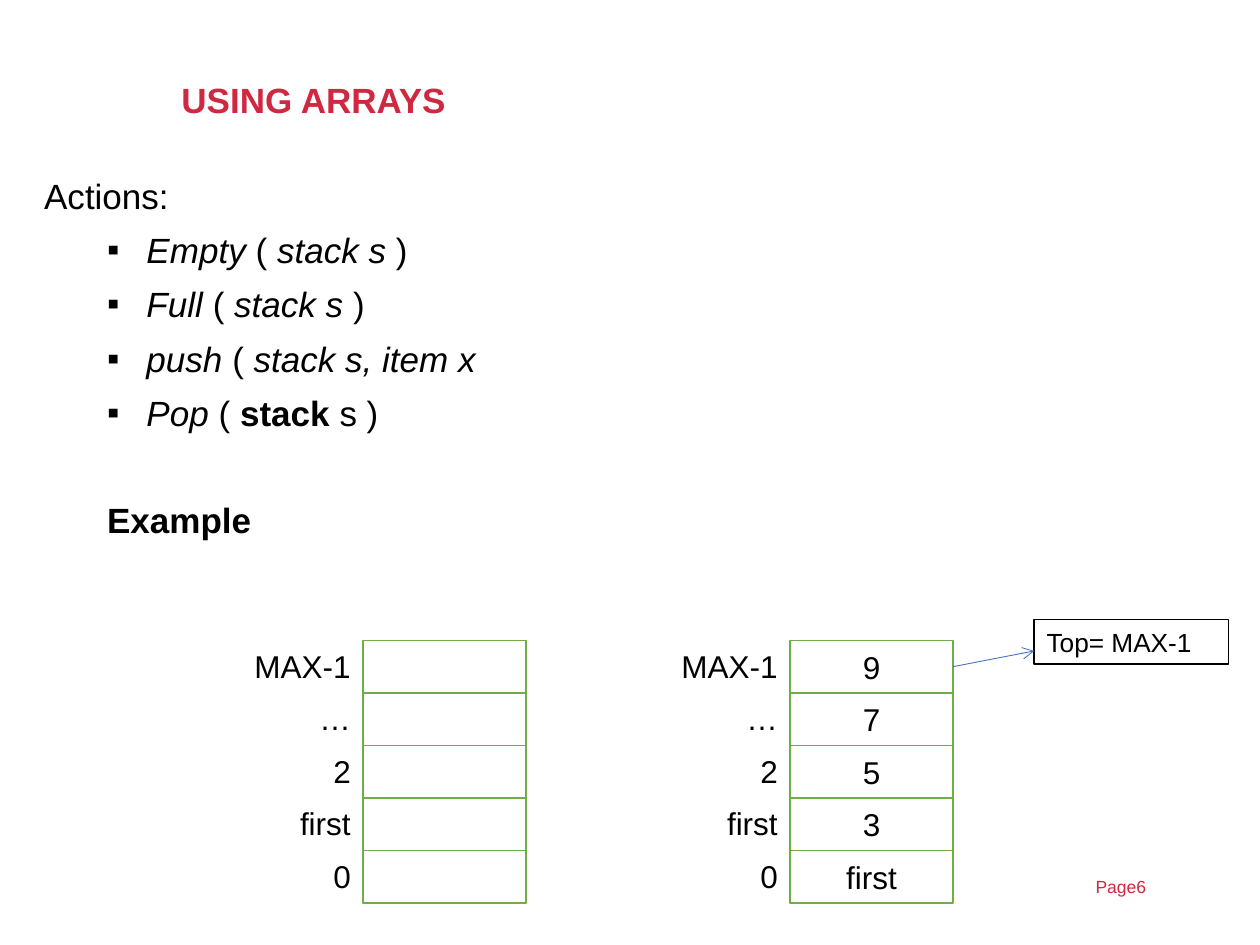
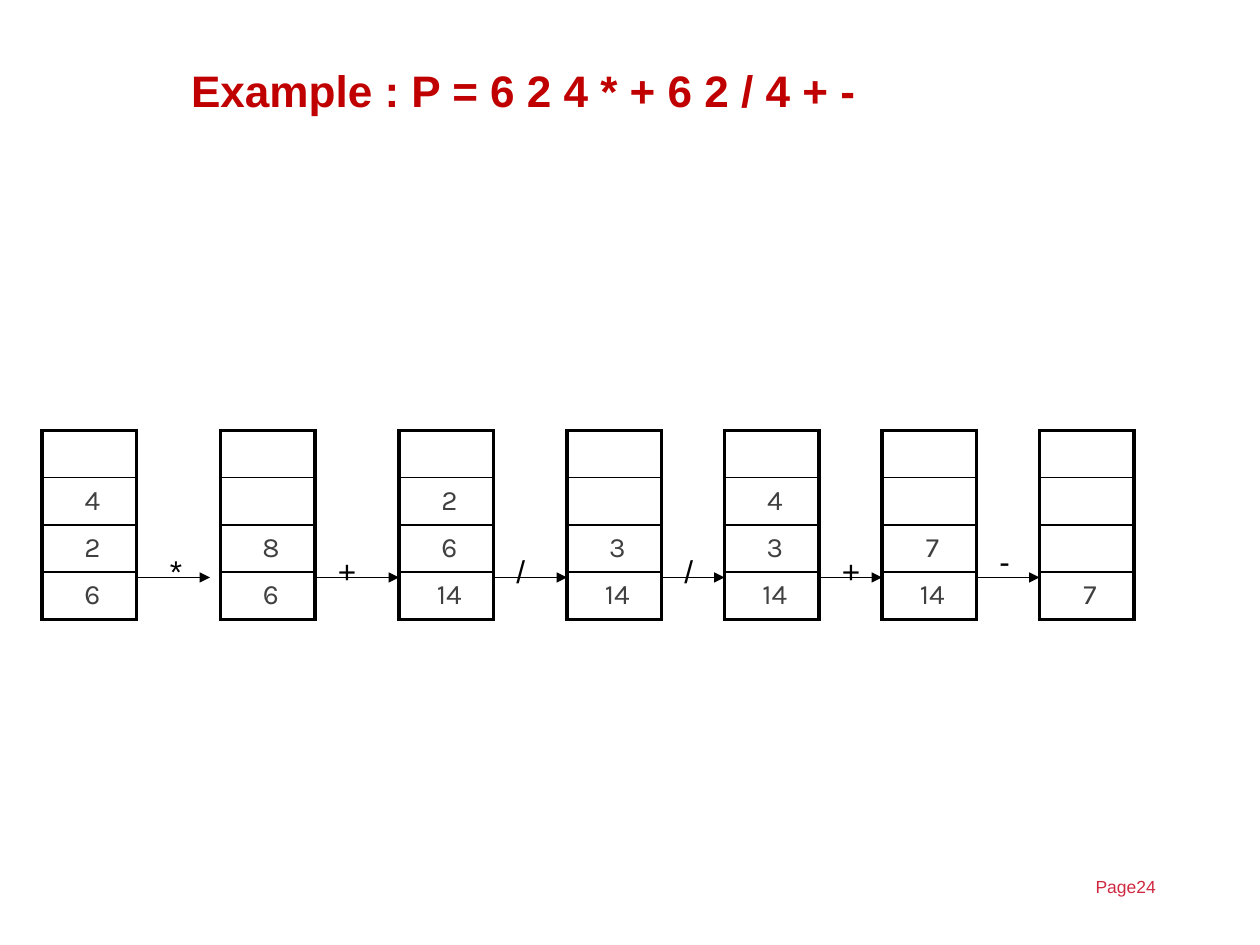
from lxml.etree import SubElement
from pptx import Presentation
from pptx.dml.color import RGBColor
from pptx.enum.shapes import MSO_CONNECTOR, MSO_SHAPE
from pptx.enum.text import MSO_ANCHOR, MSO_AUTO_SIZE, PP_ALIGN
from pptx.oxml.ns import qn
from pptx.util import Pt

COLORS = {
    "crimson": "CF2941",
    "dark red": "C00000",
    "black": "000000",
    "white": "FFFFFF",
    "gray": "404040",
    "green": "70AD47",
    "blue": "4472C4",
}


def write(paragraph, text, size=18, color="black", font="Arial", bold=False,
          align=PP_ALIGN.LEFT, before=0, spacing=1.0):
    """Fill a paragraph; text is a string or a list of (text, "i", "b" or "") runs."""
    paragraph.alignment = align
    paragraph.space_before = Pt(before)
    paragraph.line_spacing = spacing
    for part, style in [(text, "")] if isinstance(text, str) else text:
        run = paragraph.add_run()
        run.text = part
        run.font.size = Pt(size)
        run.font.name = font
        run.font.bold = bold or style == "b"
        run.font.italic = style == "i"
        run.font.color.rgb = RGBColor.from_string(COLORS[color])


def add_arrow(slide, start, end, color, width, head):
    arrow = slide.shapes.add_connector(
        MSO_CONNECTOR.STRAIGHT, *[Pt(value) for value in (*start, *end)])
    arrow.line.color.rgb = RGBColor.from_string(COLORS[color])
    arrow.line.width = Pt(width)
    SubElement(arrow.line._get_or_add_ln(), qn("a:tailEnd"), type=head)
    SubElement(arrow._element.spPr, qn("a:effectLst"))
    return arrow


prs = Presentation()
prs.slide_width, prs.slide_height = Pt(720), Pt(540)
arrays = prs.slides.add_slide(prs.slide_layouts[1])
postfix = prs.slides.add_slide(prs.slide_layouts[5])

# Titles and page numbers
for slide, heading, left, top, size, color, anchor, page in [
    (arrays, "USING ARRAYS", 96.5, 29, 20, "crimson", MSO_ANCHOR.MIDDLE, "Page6"),
    (postfix, "Example : P = 6 2 4 * + 6 2 / 4 + -", 102, 36, 25.2, "dark red",
     MSO_ANCHOR.TOP, "Page24"),
]:
    title = slide.shapes.title
    title.left, title.top, title.width, title.height = Pt(left), Pt(top), Pt(574.5), Pt(59)
    title.text_frame.auto_size = MSO_AUTO_SIZE.NONE
    title.text_frame.vertical_anchor = anchor
    write(title.text_frame.paragraphs[0], heading, size=size, color=color,
          bold=True, spacing=0.9)
    footer = slide.shapes.add_textbox(Pt(619), Pt(497), Pt(86.5), Pt(20))
    footer.text_frame.word_wrap = True
    write(footer.text_frame.paragraphs[0], page, size=10, color="crimson")

# Stack actions: text, level, left margin, indent, space before
actions = arrays.placeholders[1]
actions.left, actions.top, actions.width, actions.height = Pt(18), Pt(96), Pt(684), Pt(220)
actions.text_frame.auto_size = MSO_AUTO_SIZE.NONE
actions.text_frame.vertical_anchor = MSO_ANCHOR.TOP
calls = [
    [("Empty ", "i"), ("( ", ""), ("stack s ", "i"), (")", "")],
    [("Full ", "i"), ("( ", ""), ("stack s ", "i"), (")", "")],
    [("push ", "i"), ("( ", ""), ("stack s, item x", "i")],
    [("Pop ", "i"), ("( ", ""), ("stack ", "b"), ("s )", "")],
]
lines = [("Actions:", 0, 0, 0, 0)]
lines += [(call, 1, 58.5, -22.5, 7) for call in calls]
lines += [([("Example", "b")], 1, 36, 0, 37)]
for index, (text, level, margin, indent, before) in enumerate(lines):
    frame = actions.text_frame
    paragraph = frame.add_paragraph() if index else frame.paragraphs[0]
    paragraph.level = level
    write(paragraph, text, size=20, before=before)
    properties = paragraph._p.get_or_add_pPr()
    properties.set("marL", str(Pt(margin)))
    properties.set("indent", str(Pt(indent)))
    if indent:
        SubElement(properties, qn("a:buFont"), typeface="Arial")
        SubElement(properties, qn("a:buChar"), char="▪")
    else:
        SubElement(properties, qn("a:buNone"))

# Empty and full array
positions = ["MAX-1", "…", "2", "first", "0"]
cells = []
for left, items in [(207.5, [""] * 5), (451.5, ["9", "7", "5", "3", "first"])]:
    for row, (position, item) in enumerate(zip(positions, items)):
        top = 366 + 30 * row
        label = arrays.shapes.add_textbox(Pt(left - 87), Pt(top), Pt(87), Pt(29))
        label.text_frame.word_wrap = True
        write(label.text_frame.paragraphs[0], position, align=PP_ALIGN.RIGHT)
        cell = arrays.shapes.add_shape(MSO_SHAPE.RECTANGLE, Pt(left), Pt(top), Pt(93), Pt(30))
        cells.append((cell, item, "green", PP_ALIGN.CENTER, 18))
full_top = cells[5][0]
top_note = arrays.shapes.add_shape(MSO_SHAPE.RECTANGLE, Pt(591), Pt(354), Pt(111), Pt(25.5))
cells.append((top_note, "Top= MAX-1", "black", PP_ALIGN.LEFT, 15))
for box, text, outline, align, size in cells:
    box.shadow.inherit = False
    box.fill.solid()
    box.fill.fore_color.rgb = RGBColor.from_string(COLORS["white"])
    box.line.color.rgb = RGBColor.from_string(COLORS[outline])
    box.line.width = Pt(1)
    box.text_frame.vertical_anchor = MSO_ANCHOR.MIDDLE
    if text:
        write(box.text_frame.paragraphs[0], text, size=size, align=align)
top_pointer = add_arrow(arrays, (544.5, 381), (591, 372), "blue", 0.5, "arrow")
top_pointer.begin_connect(full_top, 3)

# Stack after each step of the evaluation: left, values from top to bottom
STACK_TOP, STACK_WIDTH, ROW_HEIGHT = 246, 54, 27
stacks = [
    (24, ["", "4", "2", "6"]),
    (126, ["", "", "8", "6"]),
    (228, ["", "2", "6", "14"]),
    (324, ["", "", "3", "14"]),
    (414, ["", "4", "3", "14"]),
    (504, ["", "", "7", "14"]),
    (594, ["", "", "", "7"]),
]
for left, values in stacks:
    stack = postfix.shapes.add_table(
        len(values), 1, Pt(left), Pt(STACK_TOP), Pt(STACK_WIDTH),
        Pt(ROW_HEIGHT * len(values))).table
    stack.first_row = stack.horz_banding = False
    for row, value in enumerate(values):
        cell = stack.cell(row, 0)
        cell.margin_left, cell.margin_right = Pt(10.8), Pt(7.2)
        cell.margin_top = cell.margin_bottom = 0
        cell.vertical_anchor = MSO_ANCHOR.MIDDLE
        borders = {
            "a:lnL": 2.25,
            "a:lnR": 2.25,
            "a:lnT": 2.25 if row == 0 else 1,
            "a:lnB": 2.25 if row == len(values) - 1 else 1,
        }
        for side, width in borders.items():
            border = SubElement(cell._tc.get_or_add_tcPr(), qn(side), w=str(Pt(width)))
            SubElement(SubElement(border, qn("a:solidFill")), qn("a:srgbClr"),
                       val=COLORS["black"])
        cell.fill.background()
        if value:
            write(cell.text_frame.paragraphs[0], value, size=16, color="gray",
                  font="Karla", align=PP_ALIGN.CENTER)

# Operators between stacks: sign, sign offset, sign top, gap before the next stack
operators = [("*", 66, 312, 6), ("+", 60, 312, 0), ("/", 60, 312, 0),
             ("/", 60, 312, 0), ("+", 60, 312, 0), ("-", 60, 306, 0)]
for (left, _), (next_left, _), (sign, offset, top, gap) in zip(stacks, stacks[1:], operators):
    operator = postfix.shapes.add_textbox(Pt(left + offset), Pt(top), Pt(30), Pt(29))
    operator.text_frame.word_wrap = True
    write(operator.text_frame.paragraphs[0], sign)
    add_arrow(postfix, (left + STACK_WIDTH, 330), (next_left - gap, 330),
              "black", 0.75, "triangle")

prs.save("out.pptx")
